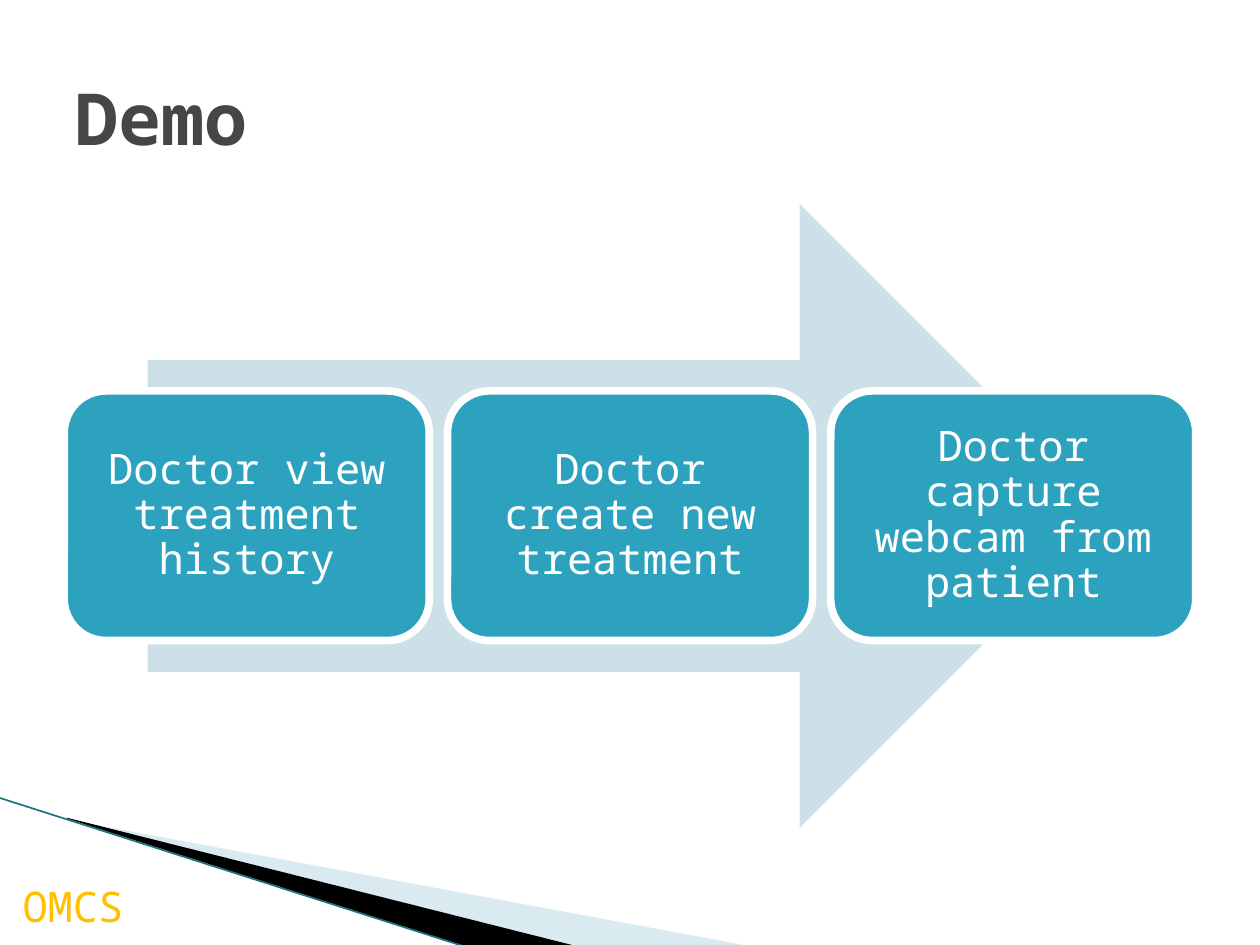
from dataclasses import dataclass

from lxml import etree
from pptx import Presentation
from pptx import util as u
from pptx.dml.color import RGBColor
from pptx.enum import shapes, text
from pptx.oxml import ns


@dataclass(frozen=True)
class Theme:
    """Colours, type sizes and the font of the slide."""
    font: str = "Noto Sans Mono"
    title_color: str = "464646"
    brand_color: str = "FFC000"
    step_fill: str = "2DA2BF"
    arrow_fill: str = "CDE0E8"
    wedge_fill: str = "A0CBDC"
    edge_line: str = "1F7184"
    white: str = "FFFFFF"
    black: str = "000000"
    title_size: float = 41
    body_size: float = 24


THEME = Theme()
STEPS = (
    "Doctor view treatment history",
    "Doctor create new treatment",
    "Doctor capture webcam from patient",
)


def points(*values):
    """Turn numbers in points into lengths."""
    return [u.Pt(value) for value in values]


def apply_format(target, values):
    """Set each attribute named in a dict."""
    for name, value in values.items():
        setattr(target, name, value)


def paint(shape, fill, line=None, width=0, alpha=None):
    """Give a shape a flat fill, an optional outline and no shadow."""
    shape.shadow.inherit = False
    shape.fill.solid()
    shape.fill.fore_color.rgb = RGBColor.from_string(fill)
    if alpha is not None:
        color = shape.fill._xPr.find(".//" + ns.qn("a:srgbClr"))
        etree.SubElement(color, ns.qn("a:alpha"), val=str(alpha * 1000))
    if line:
        shape.line.color.rgb = RGBColor.from_string(line)
        shape.line.width = u.Pt(width)
    else:
        shape.line.fill.background()


def write(shape, words, font, frame, paragraph=None):
    """Put one paragraph of formatted text into a shape."""
    apply_format(shape.text_frame, frame)
    line = shape.text_frame.paragraphs[0]
    apply_format(line, paragraph or {})
    run = line.add_run()
    run.text = words
    color = font.pop("color")
    apply_format(run.font, {"name": THEME.font, **font})
    run.font.color.rgb = RGBColor.from_string(color)


def add_wedge(slide, corners, fill, alpha=None):
    """Draw a closed outline through the corners."""
    start, *others = [points(*corner) for corner in corners]
    builder = slide.shapes.build_freeform(*start, scale=1.0)
    builder.add_line_segments(others, close=True)
    paint(builder.convert_to_shape(), fill, alpha=alpha)


def add_edge(slide, ends, color, width):
    """Draw a straight line without a shadow."""
    edge = slide.shapes.add_connector(
        shapes.MSO_CONNECTOR.STRAIGHT, *points(*ends))
    edge.line.color.rgb = RGBColor.from_string(color)
    edge.line.width = u.Pt(width)
    etree.SubElement(edge._element.spPr, ns.qn("a:effectLst"))


def add_label(slide, box, words, font, frame):
    """Add a text box holding one line."""
    label = slide.shapes.add_textbox(*points(*box))
    write(label, words, font, frame)


def add_corner(slide):
    """Draw the slanted bands in the lower left corner."""
    add_wedge(slide, [(39.6, 468.6), (428.4, 540.6), (328.3, 540.6),
                      (39.6, 468)], THEME.wedge_fill, alpha=40)
    add_wedge(slide, [(38.2, 467.3), (329, 540.6), (267.8, 541.4),
                      (38.9, 468)], THEME.black)
    add_edge(slide, (-0.7, 455.8, 267.1, 541.4), THEME.edge_line, 0.95)


def add_process(slide, steps):
    """Draw the big arrow with evenly spaced step boxes over it."""
    arrow = slide.shapes.add_shape(
        shapes.MSO_SHAPE.RIGHT_ARROW, *points(84.4, 116.6, 550.8, 356.4))
    paint(arrow, THEME.arrow_fill)
    left, top, width, height, pitch = 36.7, 223.4, 208.6, 142.6, 219
    for index, words in enumerate(steps):
        step = slide.shapes.add_shape(
            shapes.MSO_SHAPE.ROUNDED_RECTANGLE,
            *points(left + index * pitch, top, width, height))
        paint(step, THEME.step_fill, THEME.white, 4.33)
        margins = {f"margin_{side}": u.Pt(7.2)
                   for side in ("left", "top", "right", "bottom")}
        write(step, words,
              {"size": u.Pt(THEME.body_size), "color": THEME.white},
              {"word_wrap": True,
               "vertical_anchor": text.MSO_ANCHOR.MIDDLE, **margins},
              {"alignment": text.PP_ALIGN.CENTER, "line_spacing": 0.9})


def main():
    """Build and save the slide."""
    deck = Presentation()
    apply_format(deck, {"slide_width": u.Pt(720), "slide_height": u.Pt(540)})
    slide = deck.slides.add_slide(deck.slide_layouts[6])
    add_corner(slide)
    add_label(slide, (5.8, 499.7, 84.2, 36), "OMCS",
              {"size": u.Pt(THEME.body_size), "color": THEME.brand_color},
              {"word_wrap": False,
               "auto_size": text.MSO_AUTO_SIZE.SHAPE_TO_FIT_TEXT})
    add_process(slide, STEPS)
    add_label(slide, (36, 21.6, 648, 90), "Demo",
              {"size": u.Pt(THEME.title_size), "bold": True,
               "color": THEME.title_color},
              {"word_wrap": True,
               "vertical_anchor": text.MSO_ANCHOR.MIDDLE})
    deck.save("out.pptx")


main()
